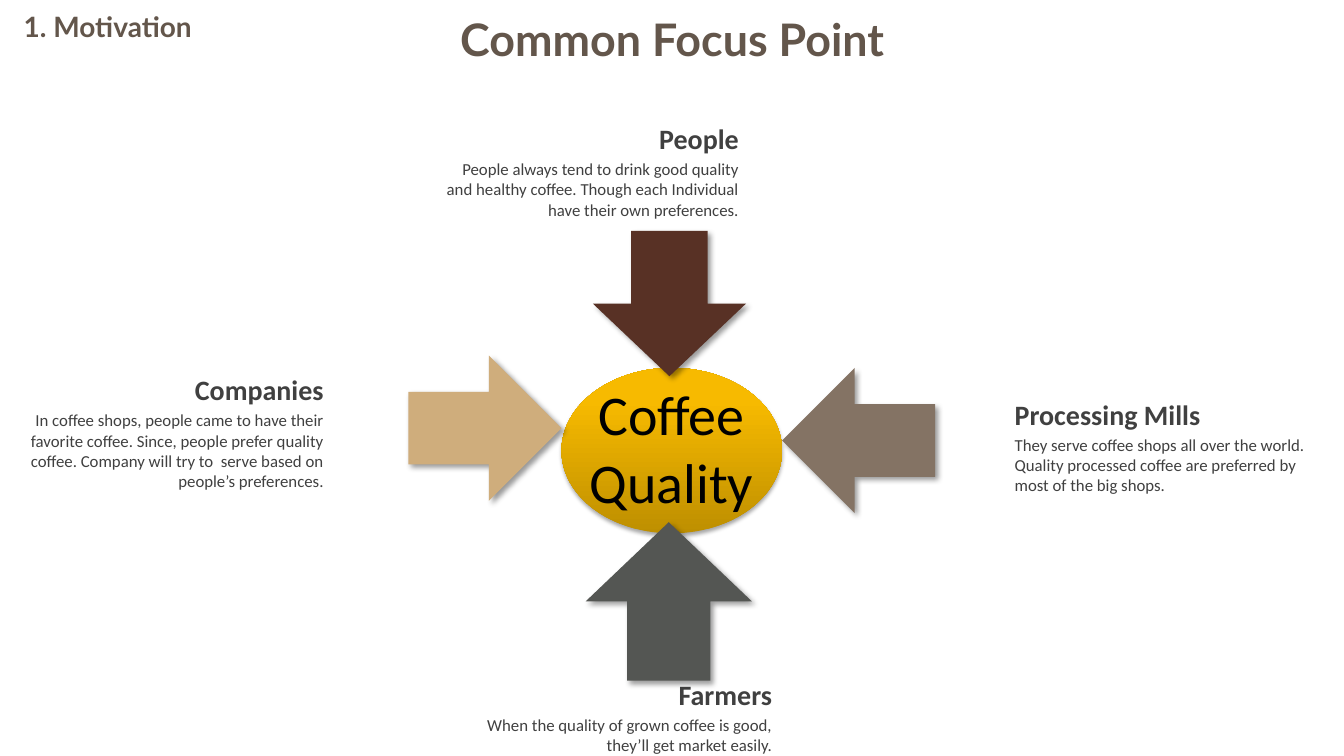
from lxml import etree
from pptx import Presentation
from pptx.dml.color import RGBColor
from pptx.enum.shapes import MSO_SHAPE
from pptx.enum.text import MSO_ANCHOR, MSO_AUTO_SIZE, PP_ALIGN
from pptx.oxml.ns import qn
from pptx.util import Cm, Pt

OVAL, ARROW = MSO_SHAPE.OVAL, MSO_SHAPE.UP_ARROW
LEFT, MID, RIGHT = PP_ALIGN.LEFT, PP_ALIGN.CENTER, PP_ALIGN.RIGHT
TOP, CENTER = MSO_ANCHOR.TOP, MSO_ANCHOR.MIDDLE
GROW = MSO_AUTO_SIZE.SHAPE_TO_FIT_TEXT

BROWN, GRAY, BLACK = "63564B", "404040", "000000"
GOLD = [("BE8F00", 0), ("F7BA00", 0.8)]
TITLES = [
    ("1. Motivation", (-2.29, 0.28, 10.01, 0.79), 20),
    ("Common Focus Point", (9.53, 0.18, 14.83, 1.6), 32),
]
NOTES = [
    ("Processing Mills",
     "They serve coffee shops all over the world. Quality processed coffee "
     "are preferred by most of the big shops.",
     25.32, 9.88, 8.1, 3, LEFT),
    ("Farmers",
     "When the quality of grown coffee is good, they’ll get market easily.",
     11.61, 16.94, 8.1, 2, RIGHT),
    ("Companies",
     "In coffee shops, people came to have their favorite coffee. Since, "
     "people prefer quality coffee. Company will try to  serve based on "
     "people’s preferences.",
     0.36, 9.27, 8.05, 4, RIGHT),
    ("People",
     "People always tend to drink good quality and healthy coffee. Though "
     "each Individual have their own preferences.",
     10.82, 2.94, 8.05, 3, RIGHT),
]
HUB = (14.15, 9.27, 5.56, 4.17)
CORE = ("Coffee Quality", (14.33, 9.45, 5.18, 3.68))
ARROWS = [
    ("583125", (14.94, 5.82, 3.86, 3.66), 180),
    ("847364", (19.81, 9.17, 3.66, 3.86), 270),
    ("545653", (14.76, 13.16, 4.19, 3.99), 0),
    ("CFAD7C", (10.39, 8.86, 3.66, 3.86), 90),
]
HEAD, STEP, PAD, LINE = 1.12, 0.94, 0.25, 0.515


def color(code):
    return RGBColor.from_string(code)


def place(box):
    return [Cm(n) for n in box]


def write(host, text, box, size, hue, align, face="Calibri", bold=False,
          anchor=TOP, fit=None):
    frame = host.add_textbox(*place(box)).text_frame
    frame.word_wrap = True
    frame.vertical_anchor = anchor
    if fit is not None:
        frame.auto_size = fit
    frame.text = text
    para = frame.paragraphs[0]
    para.alignment = align
    font = para.runs[0].font
    font.name, font.size, font.bold = face, Pt(size), bold
    font.color.rgb = color(hue)


def shade(shape, alpha, blur, dist, angle):
    shape.shadow.inherit = False
    effect = shape._element.spPr.find(qn("a:effectLst"))
    outer = etree.SubElement(
        effect, qn("a:outerShdw"), blurRad=str(Pt(blur)), dist=str(Pt(dist)),
        dir=str(angle * 60000), algn="ctr", rotWithShape="0")
    tint = etree.SubElement(outer, qn("a:srgbClr"), val=BLACK)
    etree.SubElement(tint, qn("a:alpha"), val=str(alpha * 1000))


def draw(host, kind, box):
    shape = host.add_shape(kind, *place(box))
    shape.line.fill.background()
    return shape


deck = Presentation()
deck.slide_width, deck.slide_height = Cm(33.87), Cm(19.05)
slide = deck.slides.add_slide(deck.slide_layouts[6])
shapes = slide.shapes

for text, box, size in TITLES:
    write(shapes, text, box, size, BROWN, MID, "Lato", True, CENTER)

for name, body, x, y, wide, rows, align in NOTES:
    group = shapes.add_group_shape().shapes
    write(group, name, (x, y, wide, HEAD), 20, GRAY, align, bold=True, fit=GROW)
    write(group, body, (x, y + STEP, wide, PAD + rows * LINE), 12, GRAY, align,
          fit=GROW)

hub = draw(shapes, OVAL, HUB)
hub.fill.gradient()
hub.fill.gradient_angle = 90
for stop, (hue, spot) in zip(hub.fill.gradient_stops, GOLD):
    stop.color.rgb = color(hue)
    stop.position = spot
shade(hub, 35, 3.1, 1.8, 90)
write(shapes, *CORE, 40, BLACK, MID, fit=GROW)

for hue, box, turn in ARROWS:
    arrow = draw(shapes, ARROW, box)
    arrow.rotation = turn
    arrow.fill.solid()
    arrow.fill.fore_color.rgb = color(hue)
    shade(arrow, 40, 4, 3, 45)

deck.save("out.pptx")
